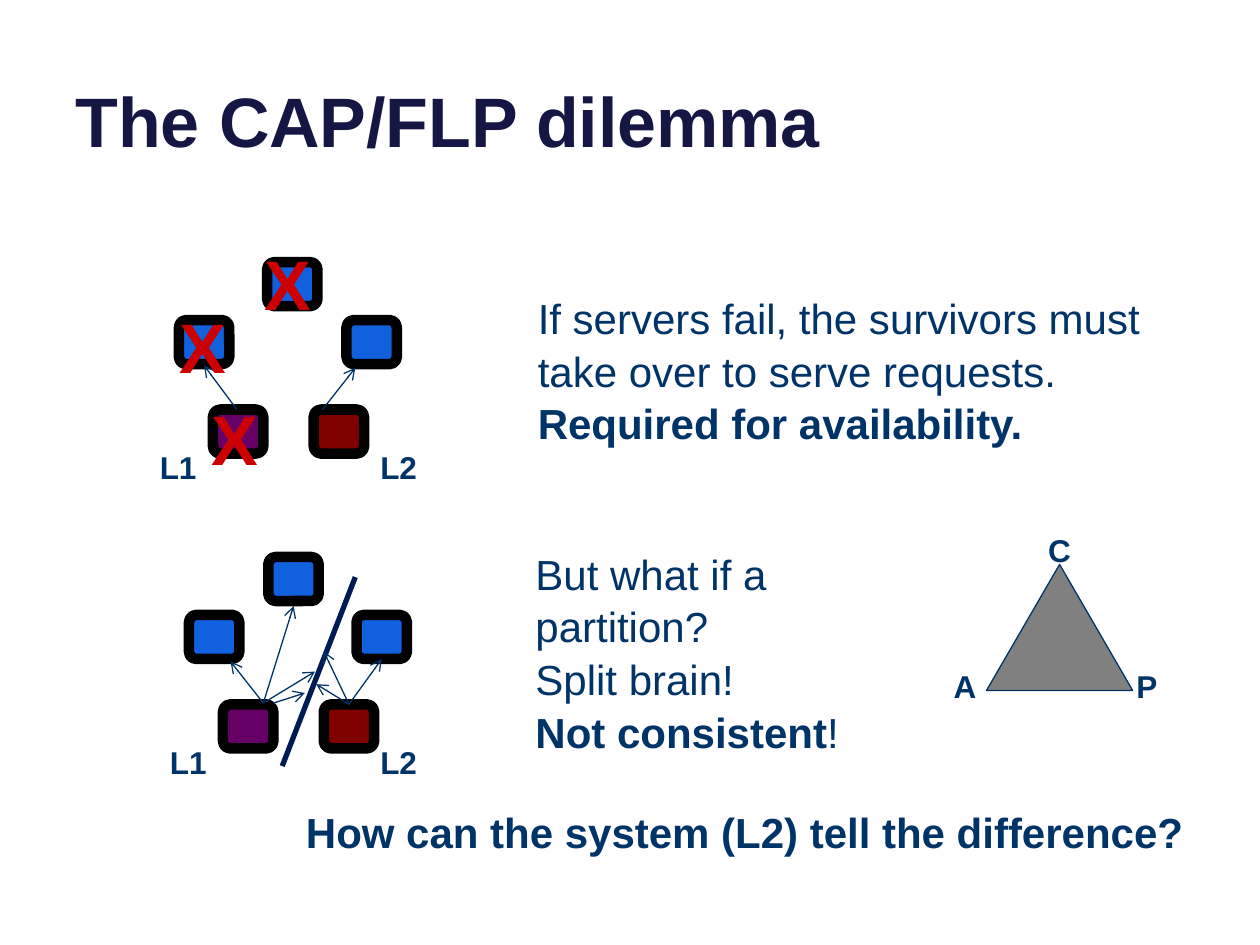
import pptx
import pptx.dml.color
import pptx.enum.shapes
import pptx.enum.text
import pptx.oxml
import pptx.oxml.ns
import pptx.util
from pptx.util import Inches

NAVY, BLUE, PURPLE, MAROON = "003367", "1160DD", "660066", "800000"
SHAPE = pptx.enum.shapes.MSO_SHAPE
ANCHOR = pptx.enum.text.MSO_ANCHOR


def rgb(value):
    """Turn a hex string into a colour."""
    return pptx.dml.color.RGBColor.from_string(value)


def add_text(s, box, paragraphs, size, color=NAVY, wrap=True, spacing=1.05,
             margins=(0.1, 0.05), anchor=ANCHOR.TOP):
    """Place paragraphs, each a list of (text, bold) runs, in a box."""
    tf = s.shapes.add_textbox(*map(Inches, box)).text_frame
    tf.word_wrap = wrap
    tf.vertical_anchor = anchor
    tf.margin_left = tf.margin_right = Inches(margins[0])
    tf.margin_top = tf.margin_bottom = Inches(margins[1])
    for i, runs in enumerate(paragraphs):
        p = tf.paragraphs[0] if i == 0 else tf.add_paragraph()
        p.line_spacing = spacing
        for text, bold in runs:
            r = p.add_run()
            r.text = text
            r.font.name = "Arial"
            r.font.size = pptx.util.Pt(size)
            r.font.bold = bold
            r.font.color.rgb = rgb(color)


def add_figure(s, kind, box, fill, line, width):
    """Place a filled and outlined preset shape."""
    shape = s.shapes.add_shape(kind, *map(Inches, box))
    shape.shadow.inherit = False
    shape.fill.solid()
    shape.fill.fore_color.rgb = rgb(fill)
    shape.line.color.rgb = rgb(line)
    shape.line.width = pptx.util.Pt(width)


def add_line(s, start, end, color=NAVY, width=0.75, arrow=True):
    """Draw a straight line, with an open arrowhead at its end if asked."""
    line = s.shapes.add_connector(pptx.enum.shapes.MSO_CONNECTOR.STRAIGHT,
                                  *map(Inches, (*start, *end)))
    line.line.color.rgb = rgb(color)
    line.line.width = pptx.util.Pt(width)
    if arrow:
        pptx.oxml.ns.qn("a:tailEnd")
        line.line._get_or_add_ln().append(pptx.oxml.parse_xml(
            f'<a:tailEnd {pptx.oxml.ns.nsdecls("a")} type="arrow"/>'))
    line._element.spPr.append(pptx.oxml.parse_xml(
        f'<a:effectLst {pptx.oxml.ns.nsdecls("a")}/>'))


def add_cluster(s, left, top, top_server_x, l2_label_x, arrows, failed=(), partition=None):
    """Draw five servers with leader labels, messages, failures and a partition."""
    def at(point):
        return left + point[0], top + point[1]

    servers = [(top_server_x, 0, BLUE), (0, 0.46, BLUE), (1.33, 0.46, BLUE),
               (0.27, 1.17, PURPLE), (1.07, 1.17, MAROON)]
    for x, y, fill in servers:
        add_figure(s, SHAPE.ROUNDED_RECTANGLE, (*at((x, y)), 0.4, 0.35), fill, "000000", 6)
    if partition:
        add_line(s, *map(at, partition), color="001B53", width=3, arrow=False)
    for start, end in arrows:
        add_line(s, at(start), at(end))
    for point in failed:
        add_text(s, (*at(point), 0.58, 0.77), [[("X", True)]], 40, "CC0000", wrap=False)
    for name, x in (("L1", -0.25), ("L2", l2_label_x)):
        add_text(s, (*at((x, 1.41)), 0.5, 0.4), [[(name, True)]], 18)


def add_cap_triangle(s, left, top, width, height):
    """Draw the triangle with its corners lettered C, A and P."""
    add_figure(s, SHAPE.ISOSCELES_TRIANGLE, (left, top, width, height), "808080", NAVY, 0.75)
    corners = [("C", width / 2 - 0.19, -0.33), ("A", -0.36, height - 0.25),
               ("P", width - 0.07, height - 0.25)]
    for letter, x, y in corners:
        add_text(s, (left + x, top + y, 0.4, 0.4), [[(letter, True)]], 18, wrap=False)


def main():
    """Build and save the slide."""
    prs = pptx.Presentation()
    prs.slide_width, prs.slide_height = Inches(10), Inches(7.5)
    s = prs.slides.add_slide(prs.slide_layouts[6])

    add_text(s, (0.5, -0.37, 9, 1.7), [[("The CAP/FLP dilemma", True)]], 40, "161645",
             spacing=1, anchor=ANCHOR.BOTTOM)

    add_cluster(s, 1.42, 2.08, 0.7, 1.5,
                arrows=[((0.46, 1.17), (0.2, 0.82)), ((1.14, 1.17), (1.4, 0.84))],
                failed=[(-0.09, 0.25), (0.16, 0.98), (0.58, -0.25)])
    l1, l2 = (0.59, 1.16), (1.27, 1.17)
    add_cluster(s, 1.5, 4.42, 0.63, 1.42,
                arrows=[(l2, (1.53, 0.81)), (l2, (1.01, 1.01)), (l2, (1.07, 0.75)),
                        (l1, (0.33, 0.83)), (l1, (0.83, 0.39)), (l1, (1, 0.91)),
                        ((0.67, 1.16), (0.92, 1.08))],
                partition=((1.32, 0.16), (0.74, 1.66)))

    add_text(s, (4.17, 2.25, 5.67, 1.31), [
        [("If servers fail, the survivors must take over to serve requests.", False)],
        [("Required for availability.", True)]], 24)
    add_text(s, (4.21, 4.33, 2.8, 1.61), [
        [("But what if a partition?", False)],
        [("Split brain!", False)],
        [("Not consistent", True), ("!", False)]], 24, margins=(0.04, 0))
    add_text(s, (2.33, 6.33, 7.5, 0.5),
             [[("How can the system (L2) tell the difference?", True)]], 24)
    add_cap_triangle(s, 7.83, 4.48, 1.16, 1)

    prs.save("out.pptx")


if __name__ == "__main__":
    main()
